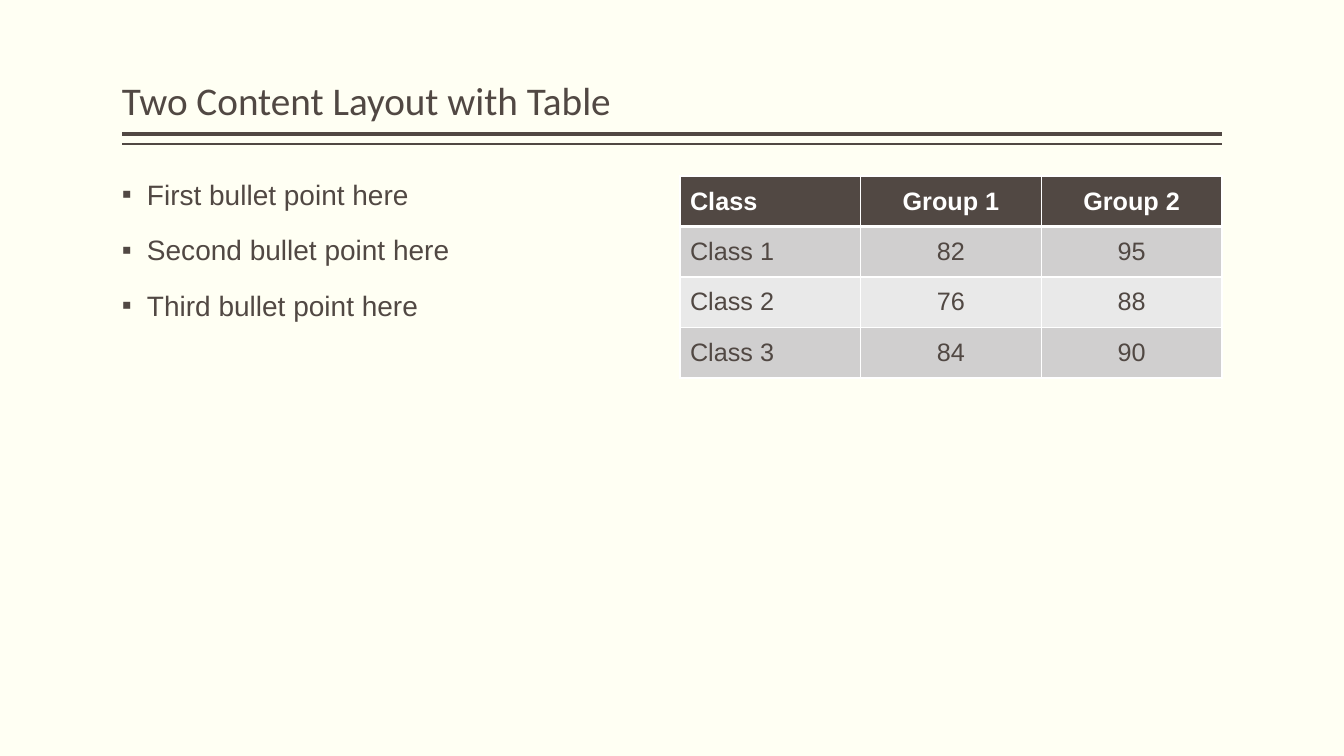
from dataclasses import dataclass

from lxml.etree import SubElement
from pptx import Presentation
from pptx.dml.color import RGBColor
from pptx.enum.shapes import MSO_CONNECTOR
from pptx.enum.text import MSO_ANCHOR, PP_ALIGN
from pptx.oxml import parse_xml
from pptx.oxml.ns import nsdecls, qn
from pptx.util import Emu, Pt

PX = 12192000 / 1344


def px(n):
    return Emu(round(n * PX))


@dataclass(frozen=True)
class Theme:
    paper: str = "FFFFF3"
    ink: str = "514843"
    white: str = "FFFFFF"
    bands: tuple = ("D0CFCF", "E9E9E9")
    heading_font: str = "Calibri"
    body_font: str = "Arial"
    title_size: int = 28
    bullet_size: int = 20
    table_size: int = 18


class Deck:
    def __init__(self, prs, theme):
        self.theme = theme
        self.s = prs.slides.add_slide(prs.slide_layouts[6])
        fill = self.s.background.fill
        fill.solid()
        fill.fore_color.rgb = RGBColor.from_string(theme.paper)

    def style(self, p, font, size, color, bold=False):
        for r in p.runs:
            r.font.name = font
            r.font.size = Pt(size)
            r.font.bold = bold
            r.font.color.rgb = RGBColor.from_string(color)

    def rule(self, x1, x2, y, weight):
        line = self.s.shapes.add_connector(
            MSO_CONNECTOR.STRAIGHT, px(x1), px(y), px(x2), px(y))
        line.line.width = Pt(weight)
        line.line.color.rgb = RGBColor.from_string(self.theme.ink)
        SubElement(line._element.spPr, qn("a:effectLst"))

    def text_box(self, x, y, w, h, anchor):
        tf = self.s.shapes.add_textbox(px(x), px(y), px(w), px(h)).text_frame
        tf.word_wrap = True
        tf.margin_left = tf.margin_right = 0
        tf.vertical_anchor = anchor
        return tf

    def title(self, x, y, w, h, text):
        tf = self.text_box(x, y, w, h, MSO_ANCHOR.BOTTOM)
        tf.text = text
        p = tf.paragraphs[0]
        p.line_spacing = 0.9
        self.style(p, self.theme.heading_font, self.theme.title_size, self.theme.ink)

    def bullets(self, x, y, w, h, items):
        tf = self.text_box(x, y, w, h, MSO_ANCHOR.TOP)
        tf.text = "\n".join(items)
        for p in tf.paragraphs:
            p.line_spacing = 0.9
            p.space_before = Pt(18)
            self.style(p, self.theme.body_font, self.theme.bullet_size, self.theme.ink)
            pPr = p._p.get_or_add_pPr()
            pPr.set("marL", str(px(25)))
            pPr.set("indent", str(-px(25)))
            SubElement(pPr, qn("a:buFont")).set("typeface", self.theme.body_font)
            SubElement(pPr, qn("a:buChar")).set("char", "▪")

    def borders(self, cell, **weights):
        tcPr = cell._tc.get_or_add_tcPr()
        for i, side in enumerate("LRTB"):
            tcPr.insert(i, parse_xml(
                f'<a:ln{side} {nsdecls("a")} w="{Pt(weights.get(side, 1))}">'
                f'<a:solidFill><a:srgbClr val="{self.theme.white}"/></a:solidFill>'
                f'</a:ln{side}>'))

    def table(self, x, y, w, h, rows):
        t = self.theme
        table = self.s.shapes.add_table(
            len(rows), len(rows[0]), px(x), px(y), px(w), px(h)).table
        for i, row in enumerate(rows):
            header = i == 0
            for j, text in enumerate(row):
                cell = table.cell(i, j)
                cell.text_frame.text = text
                cell.vertical_anchor = MSO_ANCHOR.MIDDLE
                p = cell.text_frame.paragraphs[0]
                p.alignment = PP_ALIGN.CENTER if j else PP_ALIGN.LEFT
                self.style(p, t.body_font, t.table_size,
                           t.white if header else t.ink, header)
                cell.fill.solid()
                cell.fill.fore_color.rgb = RGBColor.from_string(
                    t.ink if header else t.bands[(i - 1) % 2])
                self.borders(cell, B=3 if header else 1, T=3 if i == 1 else 1)


def main():
    prs = Presentation()
    prs.slide_width, prs.slide_height = px(1344), px(756)
    deck = Deck(prs, Theme())
    left, right, top, column = 122, 1222, 176, 542
    deck.rule(right, left, 134, 3)
    deck.rule(right, left, 144, 1)
    deck.title(left, 8, right - left, 121, "Two Content Layout with Table")
    deck.bullets(left, top, column, 504, [
        "First bullet point here",
        "Second bullet point here",
        "Third bullet point here",
    ])
    deck.table(right - column, top, column, 202, [
        ("Class", "Group 1", "Group 2"),
        ("Class 1", "82", "95"),
        ("Class 2", "76", "88"),
        ("Class 3", "84", "90"),
    ])
    prs.save("out.pptx")


if __name__ == "__main__":
    main()
